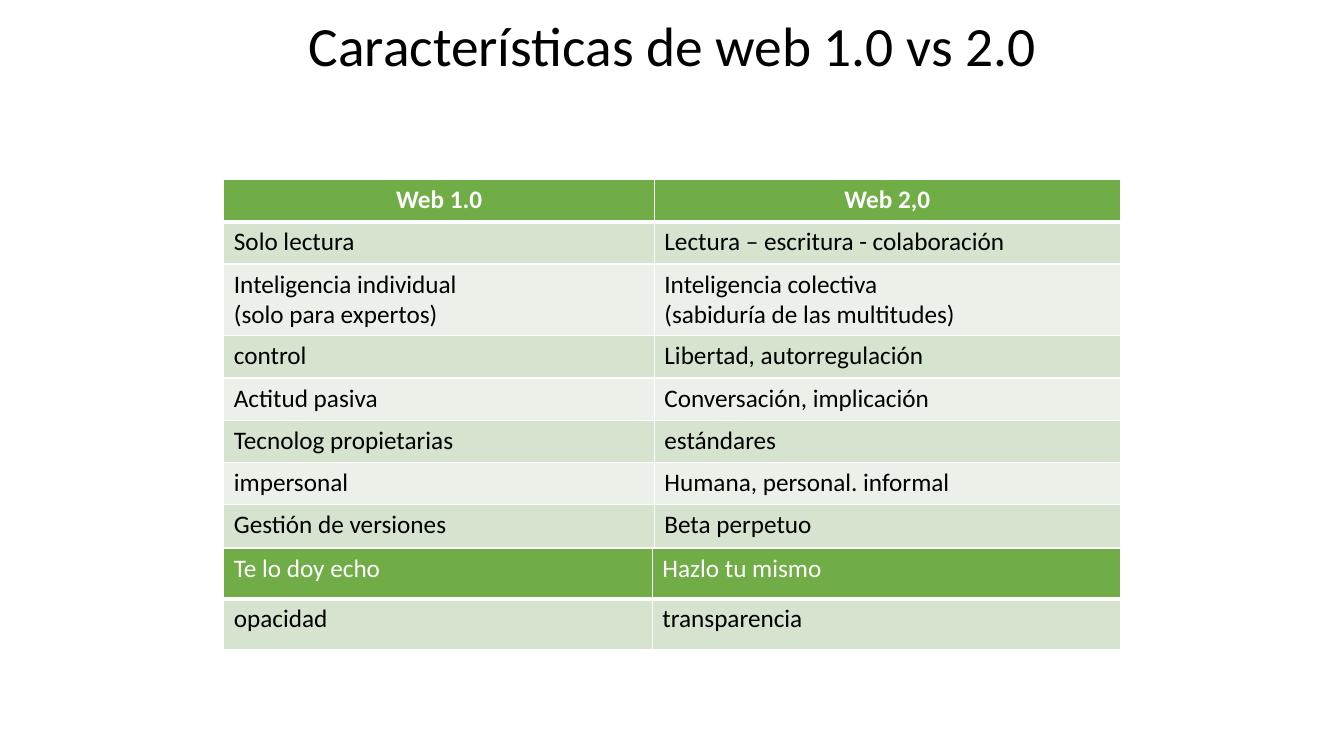
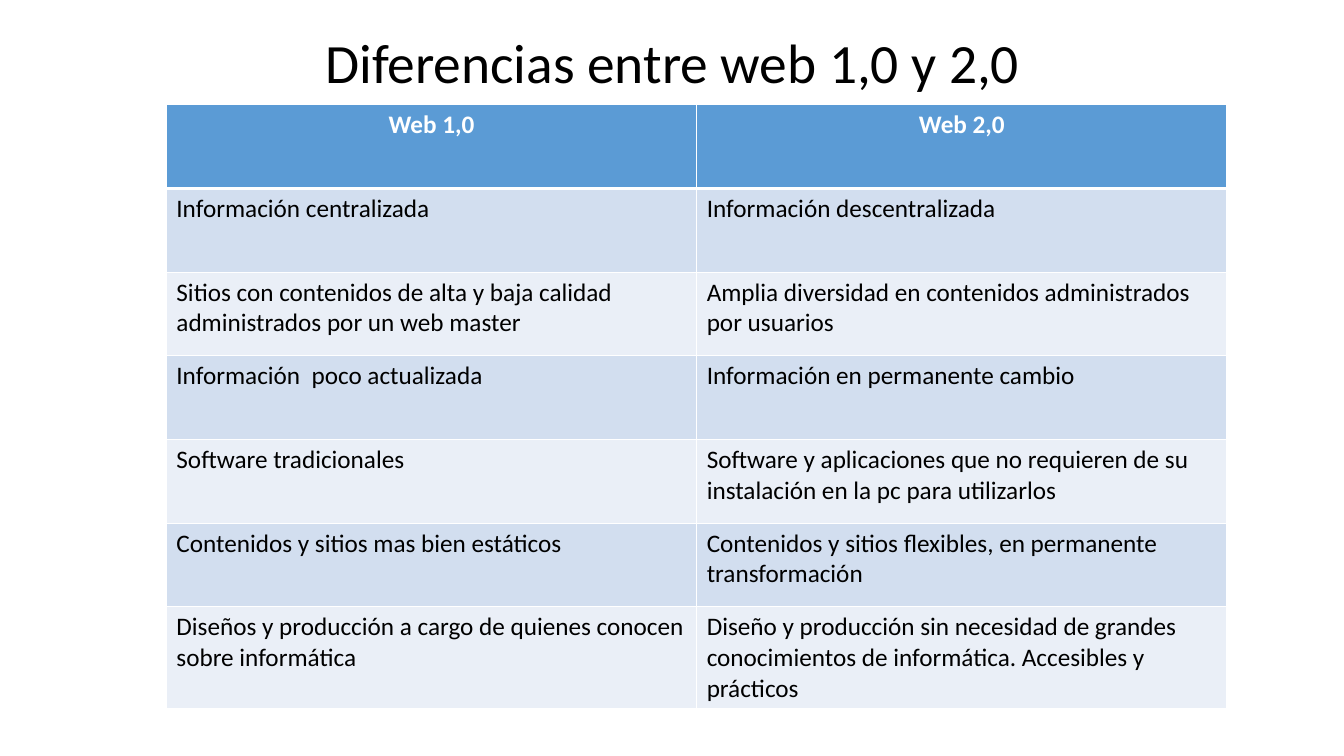
"""Build two slides that compare web 1.0 with web 2.0 in tables."""
from lxml.etree import SubElement
from pptx import Presentation
from pptx.dml.color import RGBColor
from pptx.enum.text import MSO_ANCHOR, PP_ALIGN
from pptx.oxml.ns import qn
from pptx.util import Inches, Pt

COLORS = {"text": "000000", "white": "FFFFFF"}
GREEN = {"header": "70AD47", "odd": "D5E3CF", "even": "EBF1E9"}
BLUE = {"header": "5B9BD5", "odd": "D2DEEF", "even": "EAEFF7"}


class Deck:
    font = "Calibri"
    title_size = 39.6
    table_size = 18

    def __init__(self):
        self.presentation = Presentation()
        self.presentation.slide_width = Inches(13.33)
        self.presentation.slide_height = Inches(7.5)
        self.slide = None

    def add_slide(self):
        self.slide = self.presentation.slides.add_slide(self.presentation.slide_layouts[6])

    def add_text(self, paragraph, text, size, color, bold=False):
        run = paragraph.add_run()
        run.text = text
        run.font.name = self.font
        run.font.size = Pt(size)
        run.font.bold = bold
        run.font.color.rgb = RGBColor.from_string(color)

    def add_title(self, text, top, height):
        shape = self.slide.shapes.add_textbox(Inches(0.92), Inches(top), Inches(11.5), Inches(height))
        frame = shape.text_frame
        frame.word_wrap = True
        frame.vertical_anchor = MSO_ANCHOR.MIDDLE
        paragraph = frame.paragraphs[0]
        paragraph.alignment = PP_ALIGN.CENTER
        paragraph.line_spacing = 0.9
        self.add_text(paragraph, text, self.title_size, COLORS["text"])

    def add_borders(self, cell, top, bottom):
        properties = cell._tc.get_or_add_tcPr()
        for side, width in (("L", 1), ("R", 1), ("T", top), ("B", bottom)):
            line = SubElement(properties, qn(f"a:ln{side}"), w=str(Pt(width)))
            fill = SubElement(line, qn("a:solidFill"))
            SubElement(fill, qn("a:srgbClr"), val=COLORS["white"])

    def fill_cell(self, cell, text, row, palette, bold_header):
        is_header = row == 0
        self.add_borders(cell, 3 if row == 1 else 1, 3 if is_header else 1)
        band = "header" if is_header else "odd" if row % 2 else "even"
        cell.fill.solid()
        cell.fill.fore_color.rgb = RGBColor.from_string(palette[band])
        frame = cell.text_frame
        for index, line in enumerate(text.split("\n")):
            paragraph = frame.add_paragraph() if index else frame.paragraphs[0]
            if is_header and bold_header:
                paragraph.alignment = PP_ALIGN.CENTER
            color = COLORS["white" if is_header else "text"]
            self.add_text(paragraph, line, self.table_size, color, is_header and bold_header)

    def add_table(self, left, top, widths, heights, rows, palette, bold_header=True):
        shape = self.slide.shapes.add_table(
            len(rows), len(widths), Inches(left), Inches(top),
            Inches(sum(widths)), Inches(sum(heights)))
        table = shape.table
        for column, width in zip(table.columns, widths):
            column.width = Inches(width)
        for row, (height, texts) in enumerate(zip(heights, rows)):
            table.rows[row].height = Inches(height)
            for column, text in enumerate(texts):
                self.fill_cell(table.cell(row, column), text, row, palette, bold_header)


FEATURES = [
    ("Web 1.0", "Web 2,0"),
    ("Solo lectura", "Lectura – escritura - colaboración"),
    ("Inteligencia individual \n(solo para expertos)",
     "Inteligencia colectiva \n(sabiduría de las multitudes)"),
    ("control", "Libertad, autorregulación"),
    ("Actitud pasiva", "Conversación, implicación"),
    ("Tecnolog propietarias", "estándares"),
    ("impersonal", "Humana, personal. informal"),
    ("Gestión de versiones", "Beta perpetuo"),
]
MORE_FEATURES = [
    ("Te lo doy echo", "Hazlo tu mismo"),
    ("opacidad", "transparencia"),
]
DIFFERENCES = [
    ("Web 1,0", "Web 2,0"),
    ("Información centralizada", "Información descentralizada"),
    ("Sitios con contenidos de alta y baja calidad administrados por un web master",
     "Amplia diversidad en contenidos administrados por usuarios"),
    ("Información  poco actualizada", "Información en permanente cambio"),
    ("Software tradicionales",
     "Software y aplicaciones que no requieren de su instalación en la pc para utilizarlos"),
    ("Contenidos y sitios mas bien estáticos",
     "Contenidos y sitios flexibles, en permanente transformación"),
    ("Diseños y producción a cargo de quienes conocen sobre informática",
     "Diseño y producción sin necesidad de grandes conocimientos de informática. "
     "Accesibles y prácticos"),
]

deck = Deck()

deck.add_slide()
deck.add_table(2.22, 1.78, [4.27, 4.62], [0.42] * 2 + [0.69] + [0.42] * 5, FEATURES, GREEN)
deck.add_table(2.22, 5.44, [4.25, 4.64], [0.5] * 2, MORE_FEATURES, GREEN, bold_header=False)
deck.add_title("Características de web 1.0 vs 2.0", 0.17, 0.62)

deck.add_slide()
deck.add_table(1.65, 1.04, [5.26] * 2, [0.83] * 6 + [1.01], DIFFERENCES, BLUE)
deck.add_title("Diferencias entre web 1,0 y 2,0", 0.4, 0.5)

deck.presentation.save("out.pptx")
